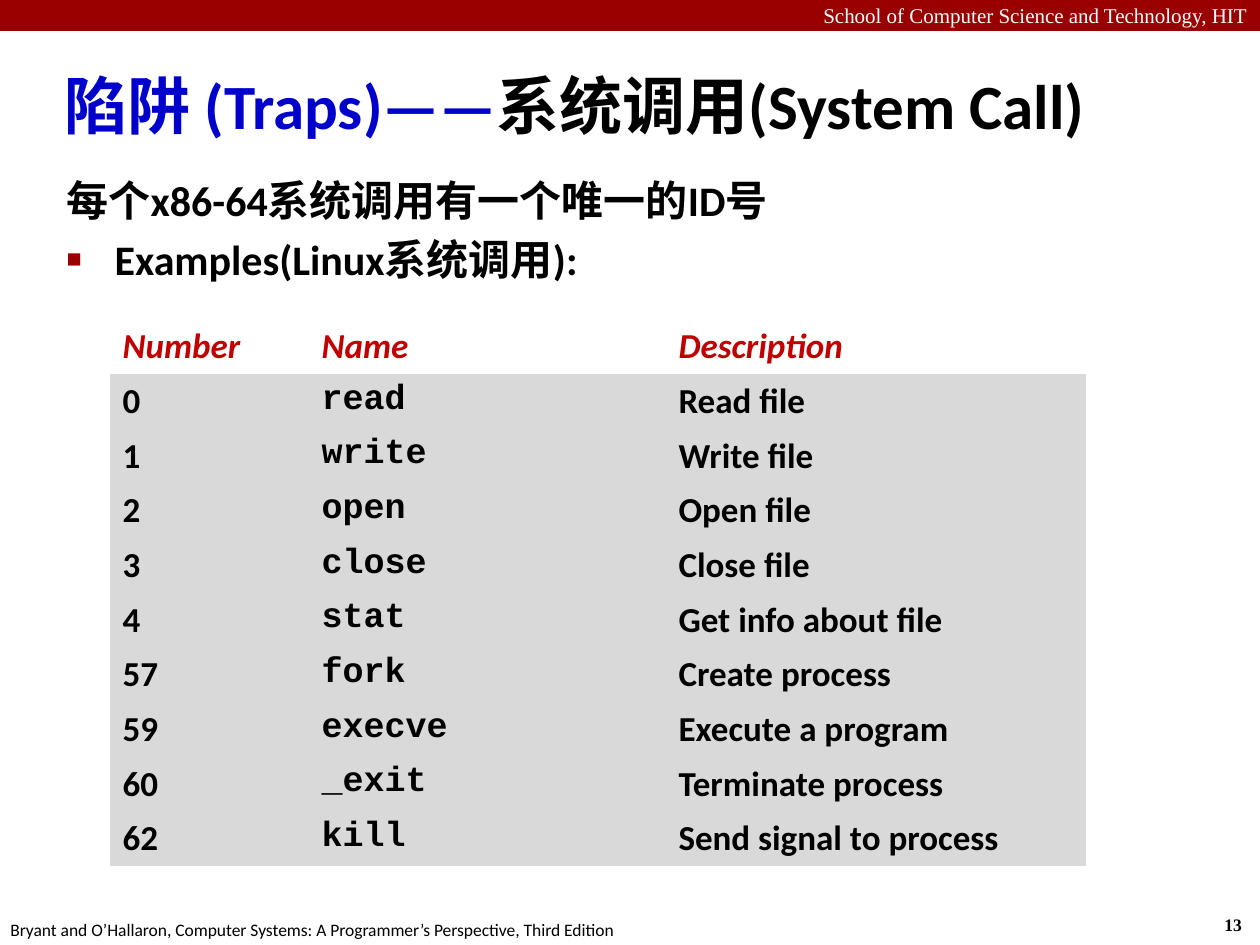
from lxml import etree
from pptx import Presentation
from pptx.dml.color import RGBColor
from pptx.enum.shapes import MSO_SHAPE
from pptx.enum.text import MSO_ANCHOR, MSO_AUTO_SIZE, PP_ALIGN
from pptx.oxml.ns import qn
from pptx.util import Emu, Pt

RECTANGLE = MSO_SHAPE.RECTANGLE
MIDDLE, TOP = MSO_ANCHOR.MIDDLE, MSO_ANCHOR.TOP
NO_AUTOFIT = MSO_AUTO_SIZE.NONE
LEFT, RIGHT = PP_ALIGN.LEFT, PP_ALIGN.RIGHT

SCALE = 914400 / 126
SANS, MONO, SERIF = "Calibri", "Courier New", "Times New Roman"
BLACK, WHITE, GRAY = "000000", "FFFFFF", "D9D9D9"
DARK_RED, RED, BLUE = "990000", "C00000", "0000CC"
PLAIN_TABLE_STYLE = "{2D5ABB26-0587-4C30-8999-92F81FD0307C}"

HEADINGS = ("Number", "Name", "Description")
SYSTEM_CALLS = [
    ("0", "read", "Read file"),
    ("1", "write", "Write file"),
    ("2", "open", "Open file"),
    ("3", "close", "Close file"),
    ("4", "stat", "Get info about file"),
    ("57", "fork", "Create process"),
    ("59", "execve", "Execute a program"),
    ("60", "_exit", "Terminate process"),
    ("62", "kill", "Send signal to process"),
]
COLUMN_WIDTHS = (199, 357, 420)
COLUMN_FONTS = (SANS, MONO, SANS)
ROW_HEIGHT = 52


def px(length):
    return Emu(round(length * SCALE))


def color(hex_string):
    return RGBColor.from_string(hex_string)


def set_font(font, size, name, hex_string, bold=False, italic=False):
    font.size = Pt(size)
    font.name = name
    font.color.rgb = color(hex_string)
    font.bold = bold
    font.italic = italic


def place(shape, left, top, width, height):
    shape.left, shape.top = px(left), px(top)
    shape.width, shape.height = px(width), px(height)


def add_label(slide, box, text, size, name, hex_string, bold=False, align=LEFT):
    label = slide.shapes.add_textbox(*map(px, box))
    label.text_frame.word_wrap = True
    paragraph = label.text_frame.paragraphs[0]
    paragraph.text = text
    paragraph.alignment = align
    set_font(paragraph.font, size, name, hex_string, bold)


def add_banner(slide):
    banner = slide.shapes.add_shape(RECTANGLE, 0, 0, px(1260), px(31))
    banner.shadow.inherit = False
    banner.fill.solid()
    banner.fill.fore_color.rgb = color(DARK_RED)
    banner.line.fill.background()


def fill_title(slide):
    title = slide.shapes.title
    place(title, 52, 52, 1198, 105)
    frame = title.text_frame
    frame.auto_size = NO_AUTOFIT
    frame.vertical_anchor = MIDDLE
    paragraph = frame.paragraphs[0]
    paragraph.alignment = LEFT
    for text, hex_string in (("陷阱 (Traps)——", BLUE), ("系统调用(System Call)", BLACK)):
        run = paragraph.add_run()
        run.text = text
        set_font(run.font, 36, SANS, hex_string, bold=True)


def set_bullet(paragraph, character, indent):
    properties = paragraph._p.get_or_add_pPr()
    properties.set("marL", str(px(indent)))
    properties.set("indent", str(px(-indent)))
    if not character:
        etree.SubElement(properties, qn("a:buNone"))
        return
    bullet_color = etree.SubElement(properties, qn("a:buClr"))
    etree.SubElement(bullet_color, qn("a:srgbClr"), val=DARK_RED)
    etree.SubElement(properties, qn("a:buSzPct"), val="60000")
    etree.SubElement(properties, qn("a:buChar"), char=character)


def fill_body(slide):
    body = slide.placeholders[1]
    place(body, 54, 168, 1089, 735)
    frame = body.text_frame
    frame.auto_size = NO_AUTOFIT
    frame.vertical_anchor = TOP
    lines = (
        ("每个x86-64系统调用有一个唯一的ID号", "", 0, 0),
        ("Examples(Linux系统调用):", "■", 48, 5),
    )
    frame.text = "\n".join(line[0] for line in lines)
    for paragraph, (_, character, indent, space) in zip(frame.paragraphs, lines):
        set_bullet(paragraph, character, indent)
        paragraph.space_before = Pt(space)
        set_font(paragraph.font, 24, SANS, BLACK, bold=True)


def fill_cell(cell, text, fill, name, hex_string, italic):
    cell.fill.solid()
    cell.fill.fore_color.rgb = color(fill)
    cell.text = text
    set_font(cell.text_frame.paragraphs[0].font, 20, name, hex_string, True, italic)


def add_call_table(slide):
    rows = [HEADINGS] + SYSTEM_CALLS
    frame = slide.shapes.add_table(
        len(rows), len(HEADINGS), px(110), px(319),
        px(sum(COLUMN_WIDTHS)), px(ROW_HEIGHT * len(rows)))
    table = frame.table
    table.first_row = False
    table.horz_banding = False
    next(frame.element.iter(qn("a:tableStyleId"))).text = PLAIN_TABLE_STYLE
    for column, width in zip(table.columns, COLUMN_WIDTHS):
        column.width = px(width)
    for row_index, values in enumerate(rows):
        for column_index, value in enumerate(values):
            cell = table.cell(row_index, column_index)
            if row_index == 0:
                fill_cell(cell, value, WHITE, SANS, RED, True)
            else:
                fill_cell(cell, value, GRAY, COLUMN_FONTS[column_index], BLACK, False)


def main():
    presentation = Presentation()
    presentation.slide_width, presentation.slide_height = px(1260), px(945)
    slide = presentation.slides.add_slide(presentation.slide_layouts[1])
    add_banner(slide)
    add_label(slide, (0, -4, 1260, 38), "School of Computer Science and Technology, HIT",
              12, SERIF, WHITE, align=RIGHT)
    add_label(slide, (1212, 908, 47, 34), "13", 10, SERIF, BLACK, bold=True)
    add_label(slide, (-2, 913, 640, 34),
              "Bryant and O’Hallaron, Computer Systems: A Programmer’s Perspective, Third Edition",
              10, SANS, BLACK)
    fill_title(slide)
    fill_body(slide)
    add_call_table(slide)
    presentation.save("out.pptx")


if __name__ == "__main__":
    main()
